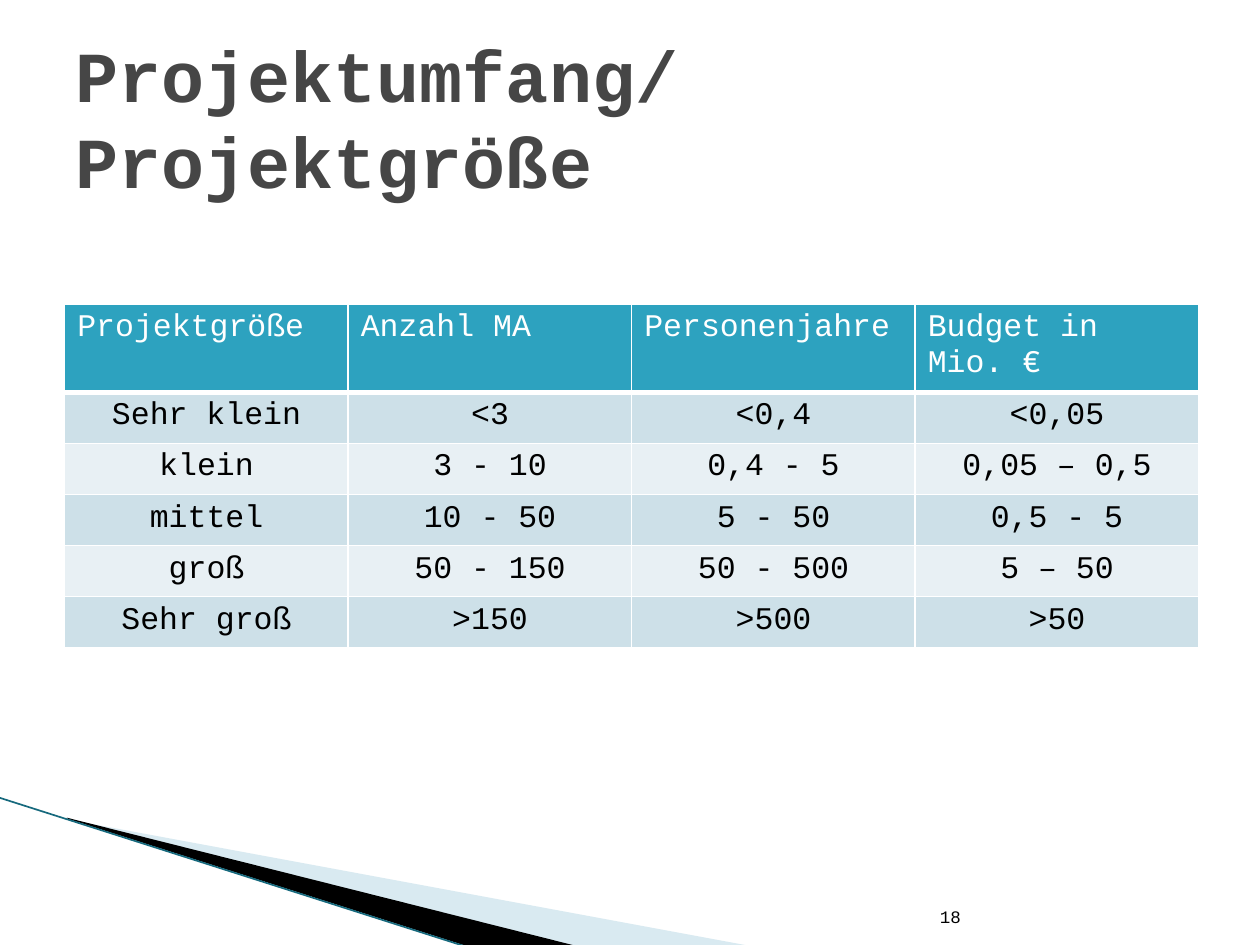
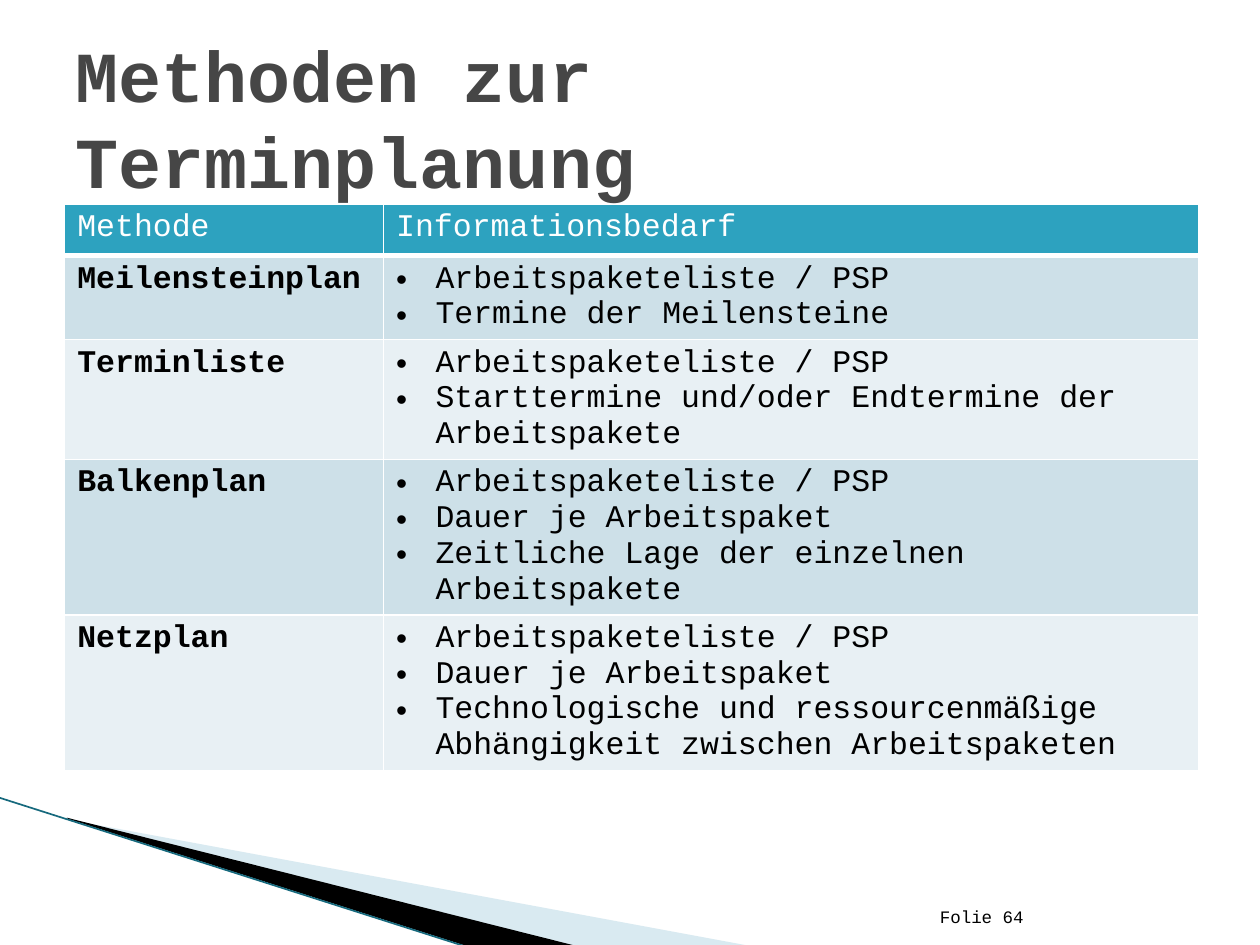
"""Builds two slides with tables on project size and scheduling methods."""
from lxml import etree
from pptx import Presentation
from pptx.dml.color import RGBColor
from pptx.enum.shapes import MSO_CONNECTOR
from pptx.enum.text import MSO_ANCHOR, MSO_AUTO_SIZE, PP_ALIGN
from pptx.oxml.ns import qn
from pptx.util import Pt

LEFT, CENTER = PP_ALIGN.LEFT, PP_ALIGN.CENTER
MIDDLE, BOTTOM = MSO_ANCHOR.MIDDLE, MSO_ANCHOR.BOTTOM
NO_FIT, STRAIGHT = MSO_AUTO_SIZE.NONE, MSO_CONNECTOR.STRAIGHT

FONT = "Courier New"
COLORS = {
    "title": "464646", "text": "000000", "white": "FFFFFF",
    "header": "2DA2BF", "odd_row": "CDE0E8", "even_row": "E8F0F4",
    "pale_wedge": "A0CBDC", "dark_wedge": "000000", "edge": "16697D",
}
WORK_PACKAGES = "Arbeitspaketeliste / PSP"
DURATION = "Dauer je Arbeitspaket"
SLIDES = [
    {
        "title": "Projektumfang/Projektgröße",
        "footer": "18",
        "top": 173.8,
        "columns": [162, 162, 162, 162],
        "heights": [50.4] + [29.2] * 5,
        "first_format": {"align": CENTER},
        "other_format": {"align": CENTER},
        "rows": [
            ["Projektgröße", "Anzahl MA", "Personenjahre", "Budget in Mio. €"],
            ["Sehr klein", "<3", "<0,4", "<0,05"],
            ["klein", "3 - 10", "0,4 - 5", "0,05 – 0,5"],
            ["mittel", "10 - 50", "5 - 50", "0,5 - 5"],
            ["groß", "50 - 150", "50 - 500", "5 – 50"],
            ["Sehr groß", ">150", ">500", ">50"],
        ],
    },
    {
        "title": "Methoden zur Terminplanung",
        "footer": "Folie 64",
        "top": 116.8,
        "columns": [182.2, 465.8],
        "heights": [29.2, 47.8, 68.2, 88.6, 88.6],
        "first_format": {"bold": True},
        "other_format": {"bullet": "•"},
        "rows": [
            ["Methode", "Informationsbedarf"],
            ["Meilensteinplan", [WORK_PACKAGES, "Termine der Meilensteine"]],
            ["Terminliste", [
                WORK_PACKAGES,
                "Starttermine und/oder Endtermine der Arbeitspakete"]],
            ["Balkenplan", [
                WORK_PACKAGES, DURATION,
                "Zeitliche Lage der einzelnen Arbeitspakete"]],
            ["Netzplan", [
                WORK_PACKAGES, DURATION,
                "Technologische und ressourcenmäßige Abhängigkeit "
                "zwischen Arbeitspaketen"]],
        ],
    },
]
WEDGES = [
    ("pale_wedge", 40, [(39.6, 468.5), (428.4, 540.5), (328.3, 540.5), (39.6, 468)]),
    ("dark_wedge", 100, [(38.2, 467.3), (329, 540.5), (267.8, 541), (38.9, 468)]),
]
EDGE = [(-0.5, 455.8), (267.1, 541.2)]
TABLE_LEFT, INDENT = 37, 22.5


def rgb(name):
    return RGBColor.from_string(COLORS[name])


def write(frame, content, size=18, color="text", bold=False, align=LEFT,
          bullet=None, anchor=None):
    lines = [content] if isinstance(content, str) else content
    if anchor is not None:
        frame.vertical_anchor = anchor
    for index, line in enumerate(lines):
        paragraph = frame.add_paragraph() if index else frame.paragraphs[0]
        paragraph.alignment = align
        run = paragraph.add_run()
        run.text = line
        run.font.name, run.font.size, run.font.bold = FONT, Pt(size), bold
        run.font.color.rgb = rgb(color)
        if bullet:
            props = paragraph._p.get_or_add_pPr()
            props.set("marL", str(Pt(INDENT)))
            props.set("indent", str(-Pt(INDENT)))
            etree.SubElement(props, qn("a:buFont"), typeface="Arial")
            etree.SubElement(props, qn("a:buChar"), char=bullet)


def draw_wedges(slide):
    for color, opacity, corners in WEDGES:
        points = [(Pt(x), Pt(y)) for x, y in corners]
        builder = slide.shapes.build_freeform(*points[0])
        builder.add_line_segments(points[1:], close=True)
        wedge = builder.convert_to_shape()
        wedge.shadow.inherit = False
        wedge.line.fill.background()
        wedge.fill.solid()
        wedge.fill.fore_color.rgb = rgb(color)
        if opacity < 100:
            tint = wedge._element.spPr.find(".//" + qn("a:srgbClr"))
            etree.SubElement(tint, qn("a:alpha"), val=str(opacity * 1000))
    start, end = EDGE
    edge = slide.shapes.add_connector(STRAIGHT, *(Pt(v) for v in start + end))
    edge.line.color.rgb = rgb("edge")
    edge.line.width = Pt(0.95)
    etree.SubElement(edge._element.spPr, qn("a:effectLst"))


def set_borders(cell, is_header):
    props = cell._tc.get_or_add_tcPr()
    for position, side in enumerate(("lnL", "lnR", "lnT", "lnB")):
        width = 3 if is_header and side == "lnB" else 1
        border = etree.Element(qn("a:" + side), w=str(Pt(width)))
        fill = etree.SubElement(border, qn("a:solidFill"))
        etree.SubElement(fill, qn("a:srgbClr"), val=COLORS["white"])
        props.insert(position, border)


def draw_table(slide, content):
    rows, columns, heights = (content[k] for k in ("rows", "columns", "heights"))
    table = slide.shapes.add_table(
        len(rows), len(columns), Pt(TABLE_LEFT), Pt(content["top"]),
        Pt(sum(columns)), Pt(sum(heights))).table
    for column, width in zip(table.columns, columns):
        column.width = Pt(width)
    for r, (values, height) in enumerate(zip(rows, heights)):
        table.rows[r].height = Pt(height)
        band = ("odd_row" if r % 2 else "even_row") if r else "header"
        for c, value in enumerate(values):
            cell = table.cell(r, c)
            cell.fill.solid()
            cell.fill.fore_color.rgb = rgb(band)
            set_borders(cell, r == 0)
            if r == 0:
                style = {"color": "white"}
            else:
                style = content["other_format" if c else "first_format"]
            write(cell.text_frame, value, **style)


def build_slide(deck, content):
    slide = deck.slides.add_slide(deck.slide_layouts[5])
    draw_wedges(slide)
    title = slide.shapes.title
    title.left, title.top, title.width, title.height = Pt(36), Pt(21.6), Pt(648), Pt(90)
    title.text_frame.auto_size = NO_FIT
    write(title.text_frame, content["title"], size=41, color="title", bold=True,
          anchor=MIDDLE)
    draw_table(slide, content)
    footer = slide.shapes.add_textbox(Pt(530), Pt(504.7), Pt(151), Pt(28.8))
    footer.text_frame.word_wrap = True
    write(footer.text_frame, content["footer"], size=10, anchor=BOTTOM)


def main():
    deck = Presentation()
    deck.slide_width, deck.slide_height = Pt(720), Pt(540)
    for content in SLIDES:
        build_slide(deck, content)
    deck.save("out.pptx")


if __name__ == "__main__":
    main()
